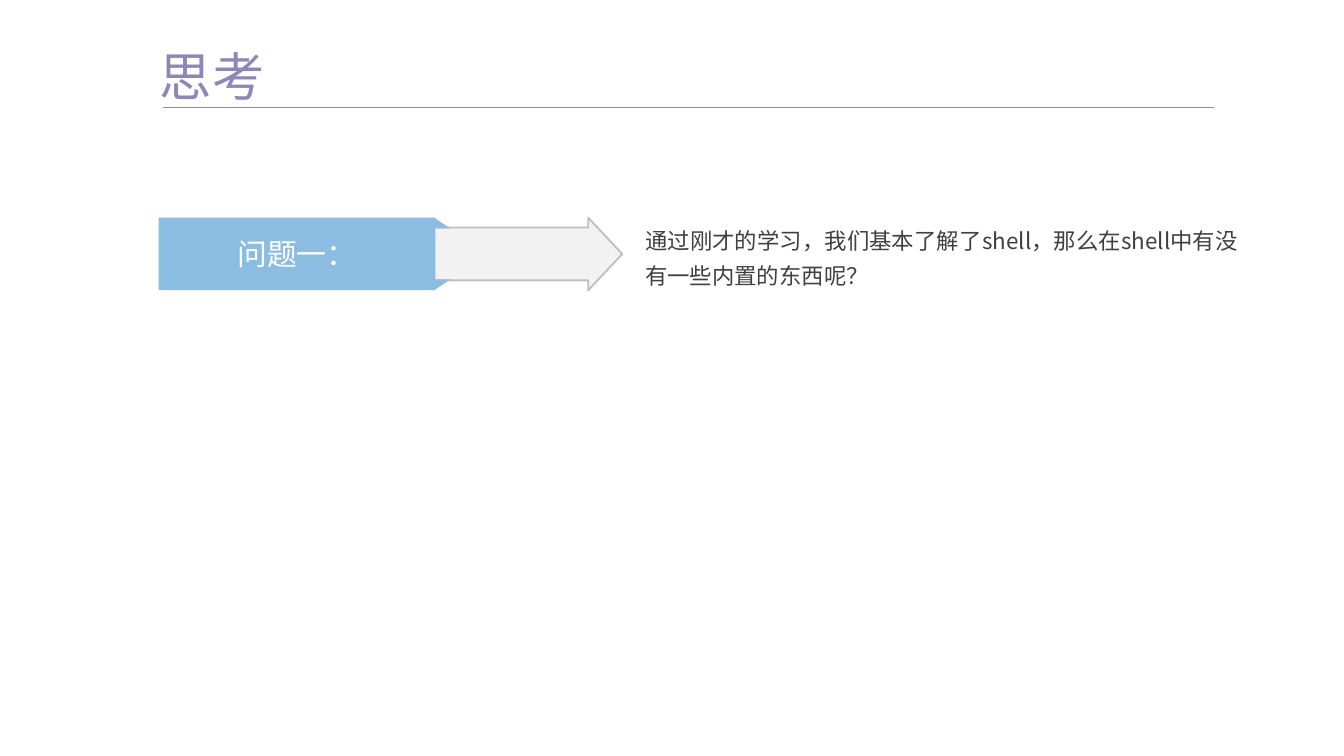
from typing import NamedTuple

from lxml import etree
from pptx import Presentation
from pptx.dml.color import RGBColor
from pptx.enum.shapes import MSO_CONNECTOR, MSO_SHAPE
from pptx.enum.text import MSO_ANCHOR, PP_ALIGN
from pptx.oxml.ns import qn
from pptx.shapes.autoshape import Shape
from pptx.slide import Slide
from pptx.text.text import TextFrame, _Paragraph
from pptx.util import Inches, Pt

RECTANGLE = MSO_SHAPE.RECTANGLE
TRIANGLE = MSO_SHAPE.RIGHT_TRIANGLE
ARROW = MSO_SHAPE.RIGHT_ARROW
STRAIGHT = MSO_CONNECTOR.STRAIGHT
TOP, MIDDLE = MSO_ANCHOR.TOP, MSO_ANCHOR.MIDDLE
LEFT, CENTER, JUSTIFY = PP_ALIGN.LEFT, PP_ALIGN.CENTER, PP_ALIGN.JUSTIFY

FONT = "Noto Sans CJK SC"
PURPLE = RGBColor(0x8D, 0x86, 0xBA)
BLUE = RGBColor(0x8B, 0xBD, 0xE2)
PALE_GRAY = RGBColor(0xF2, 0xF2, 0xF2)
MID_GRAY = RGBColor(0xBF, 0xBF, 0xBF)
DARK_GRAY = RGBColor(0x40, 0x40, 0x40)
WHITE = RGBColor(0xFF, 0xFF, 0xFF)

SLIDE_WIDTH = Inches(10)
SLIDE_HEIGHT = SLIDE_WIDTH * 9 // 16
BANNER_TOP, BANNER_HEIGHT = 1.62, 0.54
FOLD_LEFT, FOLD_WIDTH, FOLD_HEIGHT = 3.23, 0.12, 0.08


class Area(NamedTuple):
    left: float
    top: float
    width: float
    height: float


class Style(NamedTuple):
    size: int
    color: RGBColor
    align: PP_ALIGN
    anchor: MSO_ANCHOR


class Fold(NamedTuple):
    top: float
    flipped: bool


TITLE = Style(28, PURPLE, LEFT, TOP)
LABEL = Style(16, WHITE, CENTER, MIDDLE)
BODY = Style(12, DARK_GRAY, JUSTIFY, MIDDLE)
FOLDS = (
    Fold(BANNER_TOP + BANNER_HEIGHT - FOLD_HEIGHT, True),
    Fold(BANNER_TOP, False),
)


def write_text(frame: TextFrame, text: str, style: Style) -> _Paragraph:
    frame.word_wrap = True
    frame.vertical_anchor = style.anchor
    para = frame.paragraphs[0]
    para.alignment = style.align
    span = para.add_run()
    span.text = text
    span.font.size = Pt(style.size)
    span.font.name = FONT
    span.font.color.rgb = style.color
    east_asian = etree.Element(qn("a:ea"), typeface=FONT)
    span.font._element.find(qn("a:latin")).addnext(east_asian)
    return para


def add_text(slide: Slide, area: Area, text: str, style: Style) -> _Paragraph:
    box = slide.shapes.add_textbox(*map(Inches, area))
    frame = box.text_frame
    frame.margin_left = frame.margin_right = 0
    frame.margin_top = frame.margin_bottom = 0
    return write_text(frame, text, style)


def add_filled(slide: Slide, kind: MSO_SHAPE, area: Area, fill: RGBColor) -> Shape:
    shape = slide.shapes.add_shape(kind, *map(Inches, area))
    shape.shadow.inherit = False
    shape.fill.solid()
    shape.fill.fore_color.rgb = fill
    shape.line.fill.background()
    return shape


def add_rule(slide: Slide, left: float, right: float, top: float) -> None:
    rule = slide.shapes.add_connector(
        STRAIGHT, Inches(left), Inches(top), Inches(right), Inches(top)
    )
    rule.line.color.rgb = PURPLE
    rule.line.width = Pt(0.75)
    etree.SubElement(rule._element.spPr, qn("a:effectLst"))


def add_banner(slide: Slide, text: str) -> None:
    arrow_area = Area(2.32, BANNER_TOP, 2.31, BANNER_HEIGHT)
    arrow = add_filled(slide, ARROW, arrow_area, PALE_GRAY)
    arrow.adjustments[0] = 0.726
    arrow.adjustments[1] = 0.468
    arrow.line.color.rgb = MID_GRAY
    arrow.line.width = Pt(1)
    for fold in FOLDS:
        fold_area = Area(FOLD_LEFT, fold.top, FOLD_WIDTH, FOLD_HEIGHT)
        triangle = add_filled(slide, TRIANGLE, fold_area, BLUE)
        if fold.flipped:
            triangle._element.spPr.find(qn("a:xfrm")).set("flipV", "1")
    label_area = Area(1.18, BANNER_TOP, 2.06, BANNER_HEIGHT)
    label = add_filled(slide, RECTANGLE, label_area, BLUE)
    write_text(label.text_frame, text, LABEL)


def main() -> None:
    deck = Presentation()
    deck.slide_width = SLIDE_WIDTH
    deck.slide_height = SLIDE_HEIGHT
    slide = deck.slides.add_slide(deck.slide_layouts[6])
    slide.background.fill.solid()
    slide.background.fill.fore_color.rgb = WHITE

    add_text(slide, Area(1.19, 0.33, 1.58, 0.47), "思考", TITLE)
    add_rule(slide, 1.21, 9.03, 0.8)
    add_banner(slide, "问题一：")
    question = add_text(
        slide,
        Area(4.8, 1.59, 4.41, 0.6),
        "通过刚才的学习，我们基本了解了shell，那么在shell中有没有一些内置的东西呢？",
        BODY,
    )
    question.line_spacing = 1.3
    deck.save("out.pptx")


if __name__ == "__main__":
    main()
